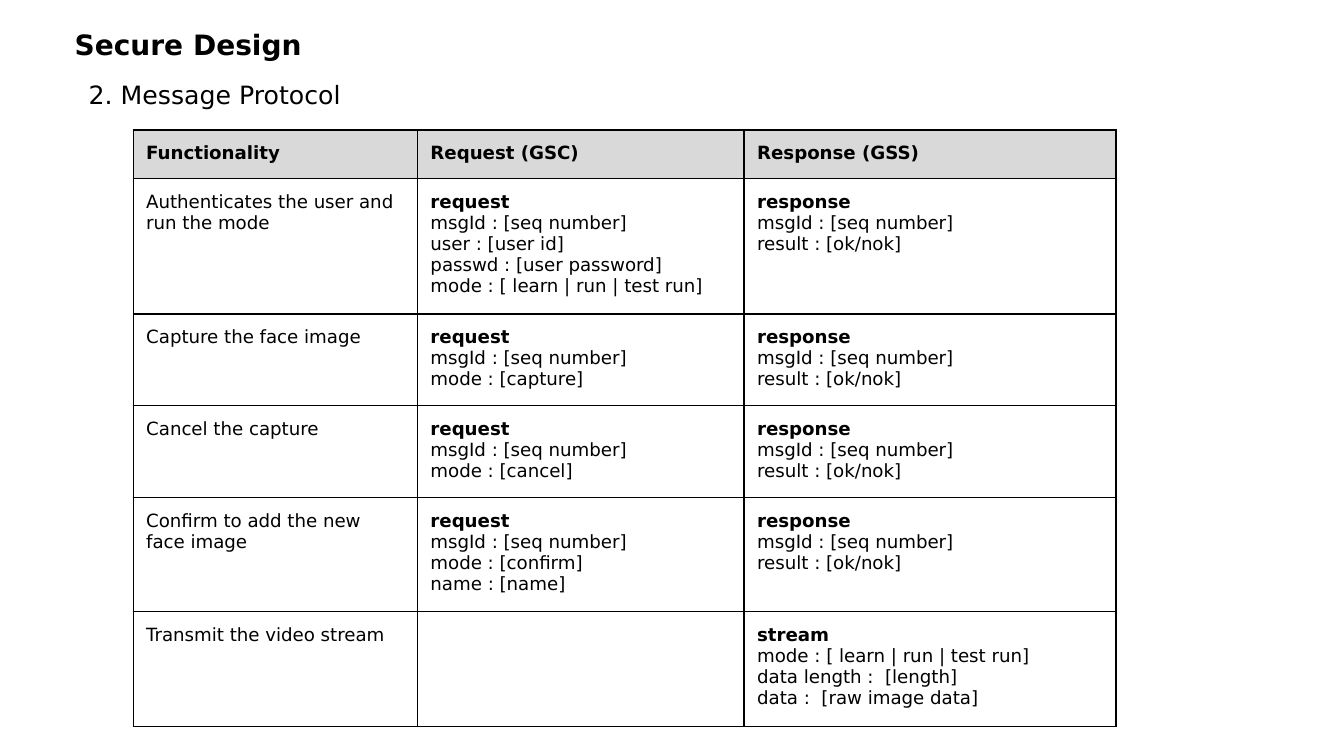
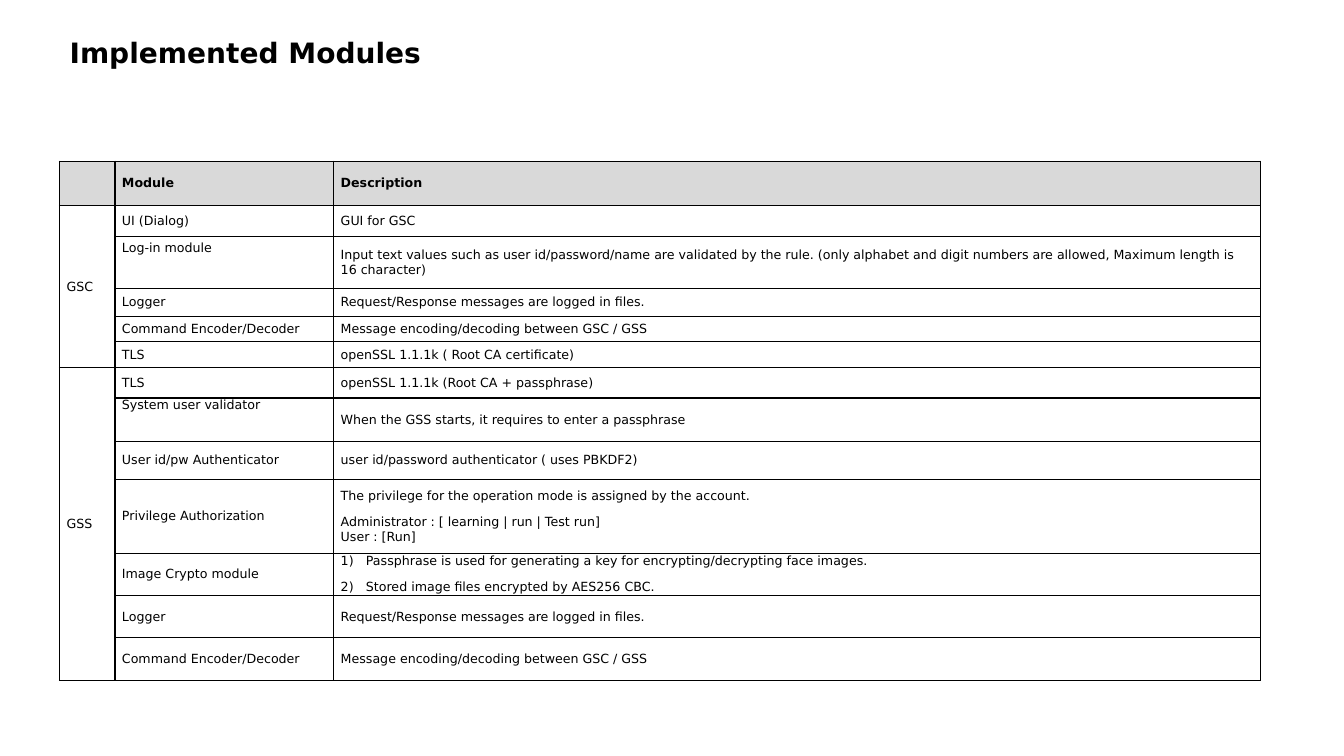
"""Build two slides: a message protocol table and a module table."""
from lxml import etree
from pptx import Presentation
from pptx.dml.color import RGBColor
from pptx.enum.text import MSO_ANCHOR as Anchor, MSO_AUTO_SIZE as Fit, PP_ALIGN as Align
from pptx.oxml.ns import qn
from pptx.util import Inches, Pt

FONT, INK, HEAD, PAPER = "DejaVu Sans", "000000", "D9D9D9", "FFFFFF"
rgb = RGBColor.from_string


def style(para, size, bold=False):
    para.alignment = Align.LEFT
    for run in para.runs:
        font = run.font
        font.name, font.size, font.bold = FONT, Pt(size), bold
        font.color.rgb = rgb(INK)


def grid(slide, left, top, cols, rows, data, size, inset, anchor):
    frame = slide.shapes.add_table(len(rows), len(cols), Inches(left), Inches(top),
                                   Inches(sum(cols)), Inches(sum(rows)))
    table = frame.table
    table.horz_banding = False
    for col, width in zip(table.columns, cols):
        col.width = Inches(width)
    for row, height in zip(table.rows, rows):
        row.height = Inches(height)
    for r, line in enumerate(data):
        for c, text in enumerate(line):
            cell = table.cell(r, c)
            cell.margin_left = cell.margin_right = Inches(inset[0])
            cell.margin_top = cell.margin_bottom = Inches(inset[1])
            cell.vertical_anchor = anchor
            props = cell._tc.get_or_add_tcPr()
            for side in ("a:lnL", "a:lnR", "a:lnT", "a:lnB"):
                edge = etree.SubElement(props, qn(side), w=str(Pt(1)))
                fill = etree.SubElement(edge, qn("a:solidFill"))
                etree.SubElement(fill, qn("a:srgbClr"), val=INK)
            cell.fill.solid()
            cell.fill.fore_color.rgb = rgb(PAPER if r else HEAD)
            cell.text_frame.text = text
            for para in cell.text_frame.paragraphs:
                style(para, size, r == 0)
    return table


prs = Presentation()
prs.slide_width, prs.slide_height = Inches(13.33), Inches(7.5)

slides = []
for name, left, top in (("Secure Design", 0.64, 0.26), ("Implemented Modules", 0.59, 0.34)):
    slide = prs.slides.add_slide(prs.slide_layouts[5])
    title = slide.shapes.title
    title.left, title.top = Inches(left), Inches(top)
    title.width, title.height = Inches(11.5), Inches(0.91)
    body = title.text_frame
    body.text = name
    body.auto_size, body.vertical_anchor = Fit.NONE, Anchor.TOP
    body.paragraphs[0].line_spacing = 0.9
    style(body.paragraphs[0], 20, True)
    slides.append(slide)
design, impl = slides

box = design.shapes.add_textbox(Inches(0.75), Inches(0.66), Inches(8.47), Inches(0.57))
body = box.text_frame
body.word_wrap = True
body.margin_left = body.margin_right = body.margin_top = body.margin_bottom = Inches(0.13)
body.text = "2. Message Protocol"
style(body.paragraphs[0], 18)

ask = "request\nmsgId : [seq number]\n"
reply = "response\nmsgId : [seq number]\nresult : [ok/nok]"
modes = "mode : [ learn | run | test run]"
calls = [
    ("Functionality", "Request (GSC)", "Response (GSS)"),
    ("Authenticates the user and run the mode",
     ask + "user : [user id]\npasswd : [user password]\n" + modes, reply),
    ("Capture the face image", ask + "mode : [capture]", reply),
    ("Cancel the capture", ask + "mode : [cancel]", reply),
    ("Confirm to add the new face image", ask + "mode : [confirm]\nname : [name]", reply),
    ("Transmit the video stream", "",
     "stream\n" + modes + "\ndata length :  [length]\ndata :  [raw image data]"),
]
table = grid(design, 1.32, 1.29, (2.82, 3.24, 3.69), (0.48, 1.33, 0.9, 0.9, 1.11, 1.14),
             calls, 13, (0.13, 0.13), Anchor.TOP)
for r in range(1, len(calls)):
    for c in (1, 2):
        style(table.cell(r, c).text_frame.paragraphs[0], 13, True)

log = ("Logger", "Request/Response messages are logged in files.")
coder = ("Command Encoder/Decoder", "Message encoding/decoding between GSC / GSS")
parts = [
    ("", "Module", "Description"),
    ("GSC", "UI (Dialog)", "GUI for GSC"),
    ("", "Log-in module",
     "Input text values such as user id/password/name are validated by the rule. "
     "(only alphabet and digit numbers are allowed, Maximum length is 16 character)"),
    ("", *log),
    ("", *coder),
    ("", "TLS", "openSSL 1.1.1k ( Root CA certificate)"),
    ("GSS", "TLS", "openSSL 1.1.1k (Root CA + passphrase)"),
    ("", "System user validator", "When the GSS starts, it requires to enter a passphrase"),
    ("", "User id/pw Authenticator", "user id/password authenticator ( uses PBKDF2)"),
    ("", "Privilege Authorization",
     "The privilege for the operation mode is assigned by the account.\n"
     "Administrator : [ learning | run | Test run]\nUser : [Run]"),
    ("", "Image Crypto module",
     "Passphrase is used for generating a key for encrypting/decrypting face images.\n"
     "Stored image files encrypted by AES256 CBC."),
    ("", *log),
    ("", *coder),
]
highs = (0.44, 0.31, 0.51, 0.28, 0.25, 0.26, 0.3, 0.43, 0.38, 0.73, 0.42, 0.42, 0.42)
table = grid(impl, 0.59, 1.6, (0.55, 2.17, 9.19), highs, parts, 9, (0.07, 0), Anchor.MIDDLE)
for first, last in ((1, 5), (6, 12)):
    table.cell(first, 0).merge(table.cell(last, 0))
for r, pad in ((2, 0.04), (7, 0)):
    cell = table.cell(r, 1)
    cell.vertical_anchor, cell.margin_top = Anchor.TOP, Inches(pad)
for r in (9, 10):
    table.cell(r, 2).text_frame.paragraphs[0].space_after = Pt(8)
for para in table.cell(10, 2).text_frame.paragraphs:
    props = para._p.get_or_add_pPr()
    props.set("marL", str(Inches(0.25)))
    props.set("indent", str(-Inches(0.25)))
    etree.SubElement(props, qn("a:buFont"), typeface=FONT)
    etree.SubElement(props, qn("a:buAutoNum"), type="arabicParenR")

prs.save("out.pptx")
